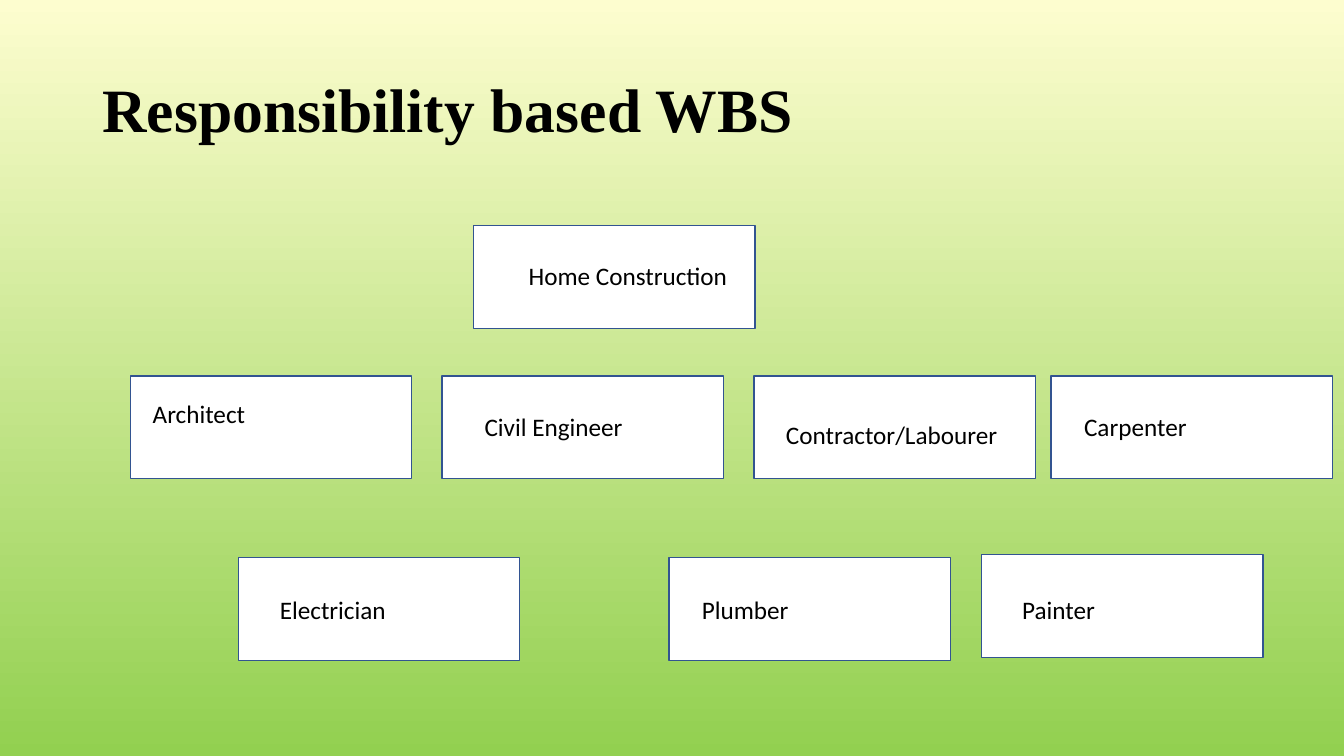
"""Build the responsibility based WBS slide."""
from pptx import Presentation
from pptx.dml.color import RGBColor
from pptx.enum.shapes import MSO_SHAPE
from pptx.enum.text import MSO_ANCHOR, MSO_AUTO_SIZE, PP_ALIGN
from pptx.util import Emu, Pt

RECT = MSO_SHAPE.RECTANGLE
MIDDLE = MSO_ANCHOR.MIDDLE
LEFT = PP_ALIGN.LEFT
NO_FIT, GROW = MSO_AUTO_SIZE.NONE, MSO_AUTO_SIZE.SHAPE_TO_FIT_TEXT
PX = 9525
COLORS = {"top": "FDFDCF", "bottom": "92D050", "box": "FFFFFF",
          "line": "325491", "text": "000000"}
BOX_W, BOX_H = 268, 98
LABEL_W, LABEL_H = 224, 38
ROOT_Y, TRADE_Y, FINISH_Y = 215, 358, 531


def place(*lengths):
    return [Emu(n * PX) for n in lengths]


def add_run(p, text, font, size, bold=False):
    r = p.add_run()
    r.text = text
    r.font.name = font
    r.font.size = Pt(size)
    r.font.bold = bold
    r.font.color.rgb = RGBColor.from_string(COLORS["text"])


prs = Presentation()
prs.slide_width, prs.slide_height = place(1280, 720)
s = prs.slides.add_slide(prs.slide_layouts[5])

fill = s.background.fill
fill.gradient()
fill.gradient_angle = 270
for stop, name in zip(fill.gradient_stops, ("top", "bottom")):
    stop.color.rgb = RGBColor.from_string(COLORS[name])

title = s.shapes.title
title.left, title.top, title.width, title.height = place(88, 38, 1104, 139)
tf = title.text_frame
tf.auto_size = NO_FIT
tf.word_wrap = True
tf.vertical_anchor = MIDDLE
p = tf.paragraphs[0]
p.alignment = LEFT
p.line_spacing = 0.9
add_run(p, "Responsibility based WBS", "Times New Roman", 44, True)

roles = [
    ("Home Construction", 451, ROOT_Y, 494, 243, 237),
    ("Architect", 124, TRADE_Y, 136, 375, LABEL_W),
    ("Civil Engineer", 421, TRADE_Y, 452, 387, LABEL_W),
    ("Contractor/Labourer", 718, TRADE_Y, 739, 395, LABEL_W),
    ("Carpenter", 1001, TRADE_Y, 1023, 387, LABEL_W),
    ("Electrician", 227, FINISH_Y, 257, 561, LABEL_W),
    ("Plumber", 637, FINISH_Y, 659, 561, LABEL_W),
    ("Painter", 935, FINISH_Y - 3, 964, 561, LABEL_W),
]
for role, box_x, box_y, label_x, label_y, label_w in roles:
    sp = s.shapes.add_shape(RECT, *place(box_x, box_y, BOX_W, BOX_H))
    sp.shadow.inherit = False
    sp.fill.solid()
    sp.fill.fore_color.rgb = RGBColor.from_string(COLORS["box"])
    sp.line.color.rgb = RGBColor.from_string(COLORS["line"])
    sp.line.width = Pt(1)

    label = s.shapes.add_textbox(*place(label_x, label_y, label_w, LABEL_H))
    tf = label.text_frame
    tf.word_wrap = True
    tf.auto_size = GROW
    add_run(tf.paragraphs[0], role, "Calibri", 18)

prs.save("out.pptx")
